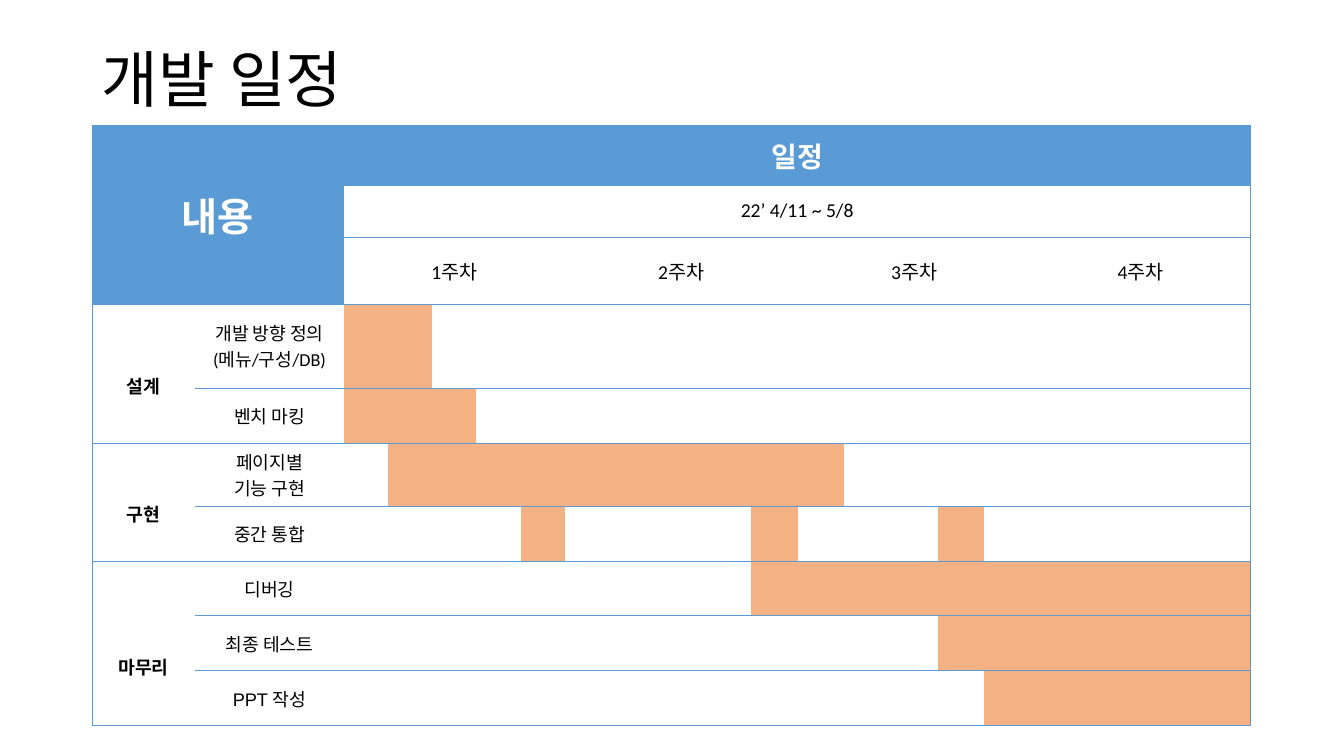
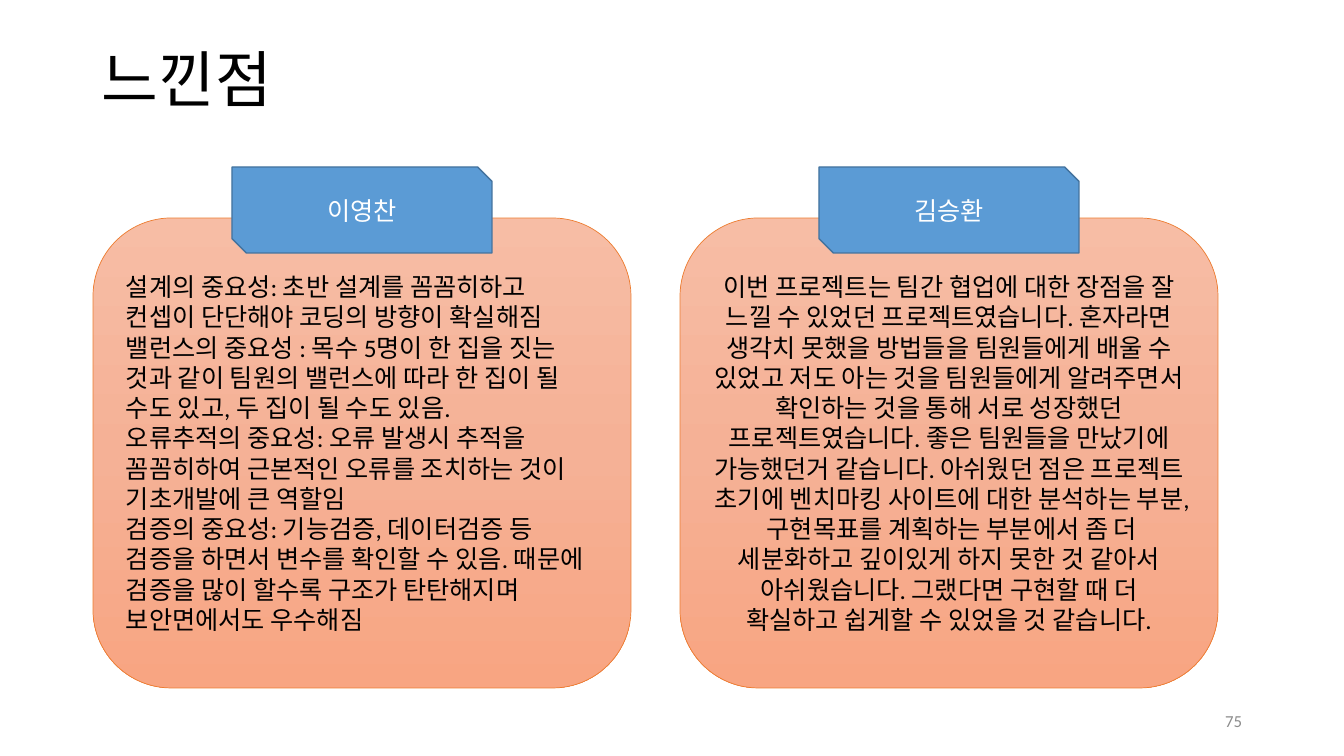
from copy import deepcopy
from lxml import etree
from pptx import Presentation
from pptx import util as u
from pptx.dml.color import RGBColor
from pptx.enum import shapes, text
from pptx.oxml import ns

PX = 914400 / 100.8
BLUE = RGBColor(0x5B, 0x9B, 0xD5)
DARK_BLUE = RGBColor(0x43, 0x73, 0x9E)
ORANGE = RGBColor(0xED, 0x7D, 0x31)
BAR = RGBColor(0xF4, 0xB1, 0x83)
GRAY = RGBColor(0x8C, 0x8C, 0x8C)
WHITE = RGBColor(0xFF, 0xFF, 0xFF)
BLACK = RGBColor(0, 0, 0)
CARD_COLORS = [(0, RGBColor(0xF7, 0xBD, 0xA5)),
               (0.5, RGBColor(0xF5, 0xB1, 0x96)),
               (1, RGBColor(0xF8, 0xA5, 0x82))]
FONT = "Calibri"
CENTER, LEFT, RIGHT = text.PP_ALIGN.CENTER, text.PP_ALIGN.LEFT, text.PP_ALIGN.RIGHT
NO_STYLE = "{2D5ABB26-0587-4C30-8999-92F81FD0307C}"

# Schedule: (phase, font, extra top margin, [(task lines, font, [(first day, end day)])])
PHASES = [
    ("설계", FONT, 24, [
        (["개발 방향 정의", "(메뉴/구성/DB)"], FONT, [(0, 2)]),
        (["벤치 마킹"], FONT, [(0, 3)])]),
    ("구현", FONT, 24, [
        (["페이지별", "기능 구현"], FONT, [(1, 11)]),
        (["중간 통합"], FONT, [(4, 5), (9, 10), (13, 14)])]),
    ("마무리", "Arial", 46, [
        (["디버깅"], FONT, [(9, 20)]),
        (["최종 테스트"], FONT, [(13, 20)]),
        (["PPT 작성"], "Arial", [(14, 20)])]),
]
WEEK_NAMES = ["1주차", "2주차", "3주차", "4주차"]
WEEK_WIDTHS = [221, 233, 233, 220]
WEEK_DAYS = 5
LABEL_WIDTHS = [103, 149]
ROW_HEIGHTS = [60, 52, 67, 84, 55, 63, 55, 55, 55, 55]

# Reflections: (name, alignment, paragraphs)
REFLECTIONS = [
    ("이영찬", LEFT, [
        "설계의 중요성: 초반 설계를 꼼꼼히하고 컨셉이 단단해야 코딩의 방향이 확실해짐",
        "밸런스의 중요성 : 목수 5명이 한 집을 짓는 것과 같이 팀원의 밸런스에 따라 한 집이 될 수도 있고, "
        "두 집이 될 수도 있음.",
        "오류추적의 중요성: 오류 발생시 추적을 꼼꼼히하여 근본적인 오류를 조치하는 것이 기초개발에 큰 역할임",
        "검증의 중요성: 기능검증, 데이터검증 등 검증을 하면서 변수를 확인할 수 있음. "
        "때문에 검증을 많이 할수록 구조가 탄탄해지며 보안면에서도 우수해짐"]),
    ("김승환", CENTER, [
        "이번 프로젝트는 팀간 협업에 대한 장점을 잘 느낄 수 있었던 프로젝트였습니다. "
        "혼자라면 생각치 못했을 방법들을 팀원들에게 배울 수 있었고 저도 아는 것을 팀원들에게 "
        "알려주면서 확인하는 것을 통해 서로 성장했던 프로젝트였습니다. "
        "좋은 팀원들을 만났기에 가능했던거 같습니다. "
        "아쉬웠던 점은 프로젝트 초기에 벤치마킹 사이트에 대한 분석하는 부분, 구현목표를 계획하는 부분에서 "
        "좀 더 세분화하고 깊이있게 하지 못한 것 같아서 아쉬웠습니다. "
        "그랬다면 구현할 때 더 확실하고 쉽게할 수 있었을 것 같습니다."]),
]
CARD_LEFT, CARD_PITCH = 93, 587


def px(*values):
    return [u.Emu(round(v * PX)) for v in values]


def write(frame, lines, size, color=BLACK, align=CENTER, bold=False, font=FONT, spacing=None):
    frame.word_wrap = True
    for i, line in enumerate(lines):
        para = frame.paragraphs[0] if i == 0 else frame.add_paragraph()
        para.text = line
        para.alignment = align
        if spacing:
            para.line_spacing = spacing
        para.font.name, para.font.size, para.font.bold = font, u.Pt(size), bold
        para.font.color.rgb = color


def add_label(slide, box, label, size, color, align, spacing=None):
    frame = slide.shapes.add_textbox(*px(*box)).text_frame
    frame.vertical_anchor = text.MSO_ANCHOR.MIDDLE
    write(frame, [label], size, color, align, spacing=spacing)


def add_slide(prs, title):
    slide = prs.slides.add_slide(prs.slide_layouts[6])
    add_label(slide, (92, 40, 1159, 85), title, 44, BLACK, LEFT, 0.9)
    return slide


def add_block(slide, preset, box, line_color, line_width):
    block = slide.shapes.add_shape(preset, *px(*box))
    block.shadow.inherit = False
    block.line.color.rgb, block.line.width = line_color, u.Pt(line_width)
    block.text_frame.vertical_anchor = text.MSO_ANCHOR.MIDDLE
    return block


def fill_card(card):
    card.fill.gradient()
    card.fill.gradient_angle = 270
    stops = card._element.spPr.find(".//" + ns.qn("a:gsLst"))
    stops.insert(1, deepcopy(stops[0]))
    for stop, (position, color) in zip(card.fill.gradient_stops, CARD_COLORS):
        stop.position, stop.color.rgb = position, color


def set_borders(cell, sides):
    props = cell._tc.get_or_add_tcPr()
    for index, side in enumerate(s for s in "LRTB" if s in sides):
        line = etree.Element(ns.qn(f"a:ln{side}"), w=str(u.Pt(0.5)))
        solid = etree.SubElement(line, ns.qn("a:solidFill"))
        etree.SubElement(solid, ns.qn("a:srgbClr"), val=str(BLUE))
        props.insert(index, line)


def paint(cell, color):
    cell.fill.solid()
    cell.fill.fore_color.rgb = color


def put(cell, lines, size, **style):
    cell.vertical_anchor = text.MSO_ANCHOR.MIDDLE
    write(cell.text_frame, lines, size, **style)


def build_schedule(prs):
    slide = add_slide(prs, "개발 일정")
    widths = LABEL_WIDTHS + [w / WEEK_DAYS for w in WEEK_WIDTHS for _ in range(WEEK_DAYS)]
    rows, cols, day0 = len(ROW_HEIGHTS), len(widths), len(LABEL_WIDTHS)
    frame = slide.shapes.add_table(rows, cols, *px(92, 125, sum(widths), sum(ROW_HEIGHTS)))
    table = frame.table
    table.first_row = table.horz_banding = False
    table._tbl.tblPr.find(ns.qn("a:tableStyleId")).text = NO_STYLE
    for column, width in zip(table.columns, px(*widths)):
        column.width = width
    for row, height in zip(table.rows, px(*ROW_HEIGHTS)):
        row.height = height
    for r in range(rows):
        for c in range(cols):
            paint(table.cell(r, c), BLUE if r == 0 or (r < 3 and c < day0) else WHITE)

    # Header
    def merged(top, left, bottom, right):
        table.cell(top, left).merge(table.cell(bottom, right))
        return table.cell(top, left)

    put(merged(0, 0, 2, 1), ["내용"], 28, color=WHITE, bold=True)
    put(merged(0, day0, 0, cols - 1), ["일정"], 20, color=WHITE, bold=True)
    put(merged(1, day0, 1, cols - 1), ["22’ 4/11 ~ 5/8"], 14)
    for week, name in enumerate(WEEK_NAMES):
        left = day0 + week * WEEK_DAYS
        put(merged(2, left, 2, left + WEEK_DAYS - 1), [name], 14)

    # Phases, tasks and bars
    r = 3
    for phase, phase_font, top_margin, tasks in PHASES:
        heading = merged(r, 0, r + len(tasks) - 1, 0)
        put(heading, [phase], 13, bold=True, font=phase_font)
        heading.margin_top = px(5 + top_margin)[0]
        for lines, font, spans in tasks:
            put(table.cell(r, 1), lines, 13, font=font)
            for first, end in spans:
                for day in range(first, end):
                    paint(table.cell(r, day0 + day), BAR)
            r += 1

    # Rules between rows and around the table
    for r in range(rows):
        for c in range(cols):
            cell = table.cell(r, c)
            inside = cell.is_spanned and c < day0
            sides = "" if inside else "TB"
            if r == rows - 1:
                sides += "B"
            sides += "L" * (c == 0) + "R" * (c == cols - 1 or (cell.is_merge_origin
                                             and c + cell.span_width == cols))
            set_borders(cell, sides)


def build_reflections(prs):
    slide = add_slide(prs, "느낀점")
    add_label(slide, (950, 701, 302, 40), "75", 12, GRAY, RIGHT)
    for i, (name, align, paragraphs) in enumerate(REFLECTIONS):
        left = CARD_LEFT + i * CARD_PITCH
        card = add_block(slide, shapes.MSO_SHAPE.ROUNDED_RECTANGLE,
                         (left, 218, 538, 470), ORANGE, 0.5)
        fill_card(card)
        write(card.text_frame, paragraphs, 18, align=align)
        tag = add_block(slide, shapes.MSO_SHAPE.SNIP_2_DIAG_RECTANGLE,
                        (left + 139, 167, 260, 86), DARK_BLUE, 1)
        paint(tag, BLUE)
        write(tag.text_frame, [name], 18, WHITE)


def main():
    prs = Presentation()
    prs.slide_width, prs.slide_height = px(1344, 756)
    build_schedule(prs)
    build_reflections(prs)
    prs.save("out.pptx")


if __name__ == "__main__":
    main()
